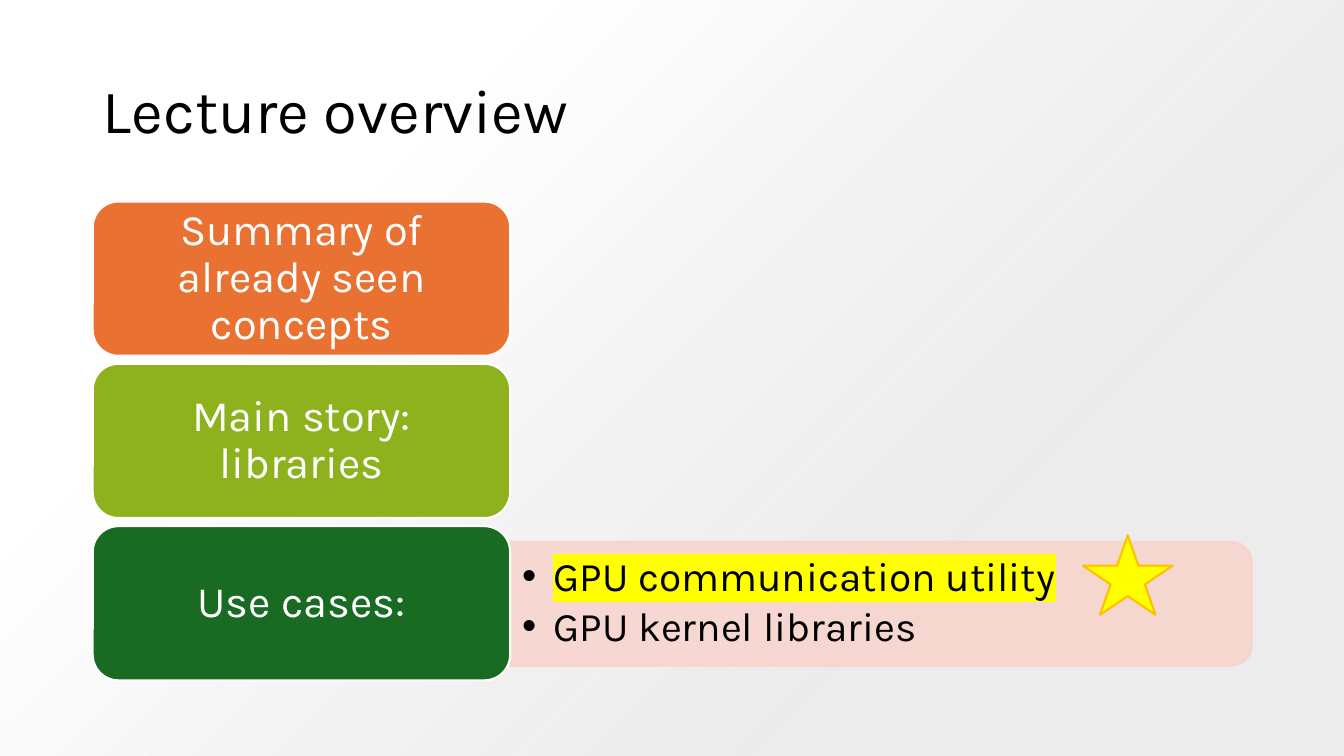
from dataclasses import dataclass

from lxml.etree import SubElement
from pptx import Presentation
from pptx.dml.color import RGBColor
from pptx.enum.shapes import MSO_SHAPE
from pptx.enum.text import MSO_ANCHOR, MSO_AUTO_SIZE, PP_ALIGN
from pptx.oxml import parse_xml
from pptx.oxml.ns import nsdecls, qn
from pptx.util import Inches, Pt

FONT = "Karla"
LEFT, TOP = 0.92, 2
CARD_WIDTH, CARD_HEIGHT, CARD_STEP = 4.14, 1.53, 1.61


@dataclass
class Card:
    text: str
    fill: str


@dataclass
class Bullet:
    text: str
    highlight: str = ""


CARDS = [
    Card("Summary of already seen concepts", "E97132"),
    Card("Main story: libraries", "8EB21E"),
    Card("Use cases:", "196B24"),
]
BULLETS = [
    Bullet("GPU communication utility", "FFFF00"),
    Bullet("GPU kernel libraries"),
]


def color(value: str) -> RGBColor:
    return RGBColor.from_string(value)


def place(shape, left: float, top: float, width: float, height: float) -> None:
    box = {"left": left, "top": top, "width": width, "height": height}
    for name, value in box.items():
        setattr(shape, name, Inches(value))


def add_panel(slide, kind, box: tuple, fill: str, line: str):
    shape = slide.shapes.add_shape(kind, *map(Inches, box))
    shape.shadow.inherit = False
    shape.fill.solid()
    shape.fill.fore_color.rgb = color(fill)
    shape.line.color.rgb = color(line)
    shape.line.width = Pt(1.5)
    return shape


def format_frame(frame, side: float, edge: float) -> None:
    values = {
        "word_wrap": True,
        "auto_size": MSO_AUTO_SIZE.NONE,
        "vertical_anchor": MSO_ANCHOR.MIDDLE,
        "margin_left": Inches(side),
        "margin_right": Inches(side),
        "margin_top": Inches(edge),
        "margin_bottom": Inches(edge),
    }
    for name, value in values.items():
        setattr(frame, name, value)


def write(paragraph, text: str, size: int, ink: str, alignment=PP_ALIGN.LEFT):
    paragraph.alignment = alignment
    paragraph.line_spacing = 0.9
    run = paragraph.add_run()
    run.text = text
    for name, value in {"size": Pt(size), "name": FONT}.items():
        setattr(run.font, name, value)
    run.font.color.rgb = color(ink)
    return run


def add_background(slide, title) -> None:
    shape = slide.shapes.add_shape(
        MSO_SHAPE.RECTANGLE, 0, 0, Inches(13.34), Inches(7.5)
    )
    shape.shadow.inherit = False
    shape.line.fill.background()
    shape.fill.background()
    gradient = parse_xml(
        f'<a:gradFill {nsdecls("a")} rotWithShape="1"><a:gsLst>'
        '<a:gs pos="28000"><a:srgbClr val="E8E8E8"><a:alpha val="84000"/></a:srgbClr></a:gs>'
        '<a:gs pos="74000"><a:srgbClr val="FFFFFF"/></a:gs></a:gsLst>'
        '<a:path path="circle"><a:fillToRect l="100000" t="100000"/></a:path></a:gradFill>'
    )
    properties = shape.element.spPr
    properties.replace(properties.find(qn("a:noFill")), gradient)
    title.element.addprevious(shape.element)


def add_title(slide):
    title = slide.shapes.title
    place(title, LEFT, 0.4, 11.5, 1.45)
    format_frame(title.text_frame, 0.1, 0.05)
    write(title.text_frame.paragraphs[0], "Lecture overview", 44, "000000")
    return title


def add_card(slide, card: Card, index: int) -> None:
    box = (LEFT, TOP + index * CARD_STEP, CARD_WIDTH, CARD_HEIGHT)
    shape = add_panel(slide, MSO_SHAPE.ROUNDED_RECTANGLE, box, card.fill, "FFFFFF")
    format_frame(shape.text_frame, 0.13, 0.06)
    paragraph = shape.text_frame.paragraphs[0]
    write(paragraph, card.text, 31, "FFFFFF", PP_ALIGN.CENTER)


def add_use_case_panel(slide) -> None:
    box = (8.12, 2.31, 1.23, 7.36)
    panel = add_panel(
        slide, MSO_SHAPE.ROUND_2_SAME_RECTANGLE, box, "F7D5CE", "F7D5CE"
    )
    panel.rotation = 90
    for swatch in panel.element.spPr.iter(qn("a:srgbClr")):
        SubElement(swatch, qn("a:alpha"), val="90000")


def add_bullets(slide) -> None:
    box = (5.06, 5.43, 7.3, 1.11)
    frame = slide.shapes.add_textbox(*map(Inches, box)).text_frame
    format_frame(frame, 0.12, 0.06)
    for index, bullet in enumerate(BULLETS):
        paragraph = frame.add_paragraph() if index else frame.paragraphs[0]
        properties = paragraph._p.get_or_add_pPr()
        properties.set("marL", str(Inches(0.31)))
        properties.set("indent", str(Inches(-0.31)))
        SubElement(properties, qn("a:buFont"), typeface="Arial")
        SubElement(properties, qn("a:buChar"), char="•")
        run = write(paragraph, bullet.text, 29, "000000")
        paragraph.space_after = Pt(4.35)
        if bullet.highlight:
            highlight = parse_xml(
                f'<a:highlight {nsdecls("a")}>'
                f'<a:srgbClr val="{bullet.highlight}"/></a:highlight>'
            )
            run._r.rPr.find(qn("a:latin")).addprevious(highlight)


def main() -> None:
    presentation = Presentation()
    presentation.slide_width = Inches(13.33)
    presentation.slide_height = Inches(7.5)
    slide = presentation.slides.add_slide(presentation.slide_layouts[5])
    add_background(slide, add_title(slide))
    add_use_case_panel(slide)
    add_bullets(slide)
    for index, card in enumerate(CARDS):
        add_card(slide, card, index)
    add_panel(
        slide, MSO_SHAPE.STAR_5_POINT, (10.74, 5.31, 0.89, 0.79), "FFFF00", "FFC000"
    )
    presentation.save("out.pptx")


if __name__ == "__main__":
    main()
